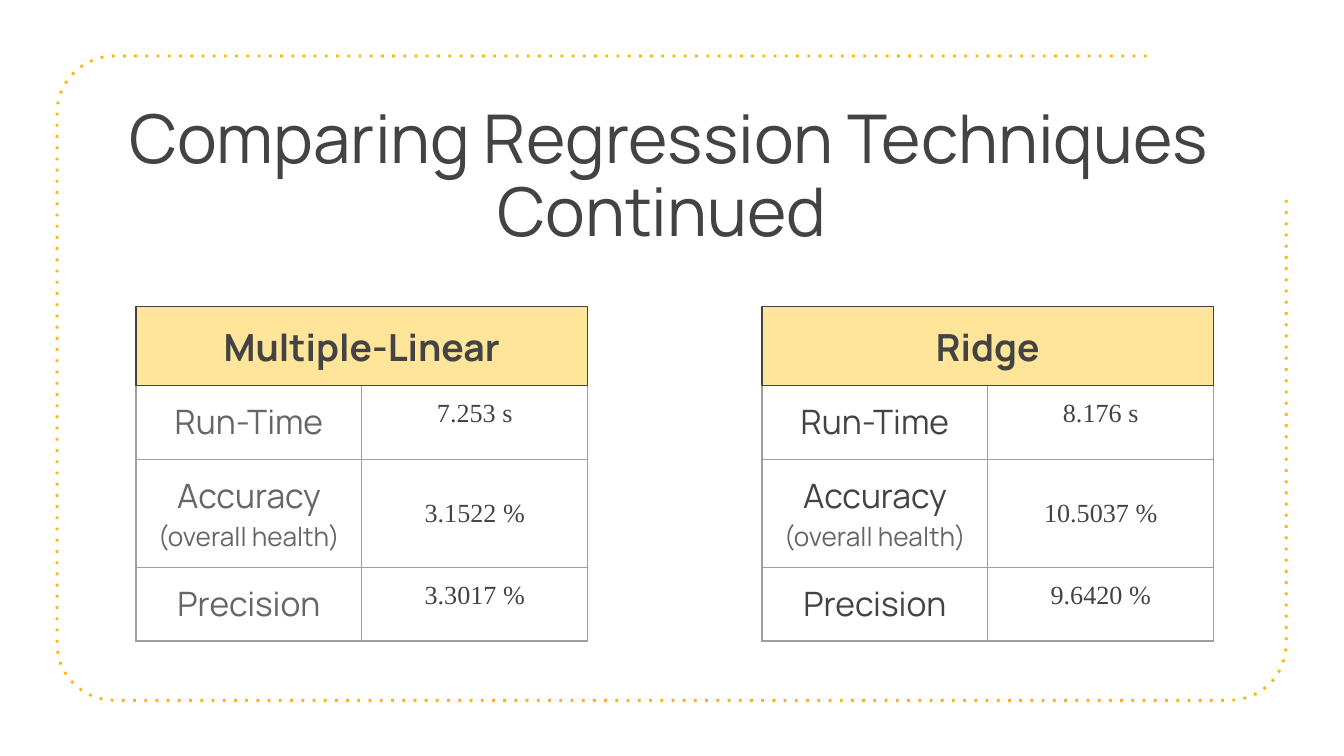
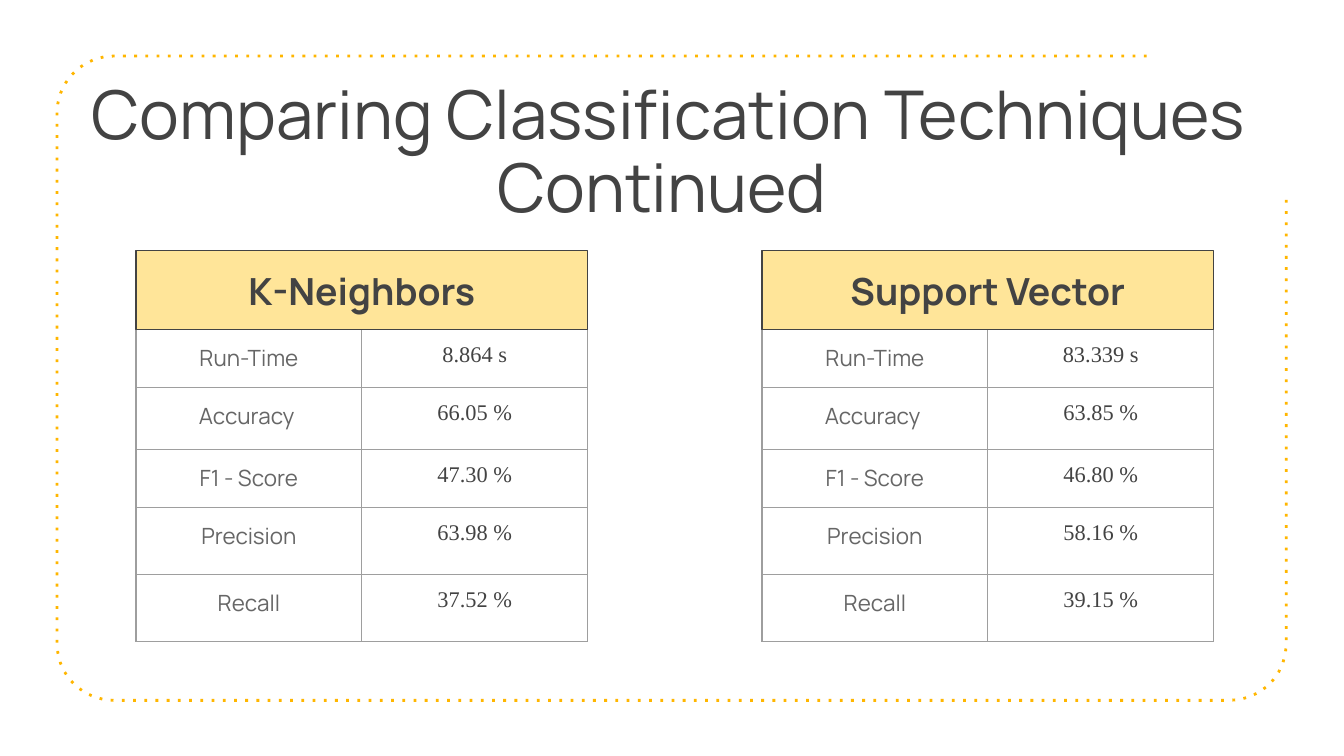
import math
from lxml import etree
from pptx import Presentation
from pptx.dml.color import RGBColor
from pptx.enum import dml, shapes, text
from pptx.oxml import ns
from pptx.util import Cm, Pt

YELLOW = RGBColor(0xFF, 0xB6, 0x00)
CREAM = RGBColor(0xFF, 0xE5, 0x99)
DARK = RGBColor(0x43, 0x43, 0x43)
GREY = RGBColor(0x66, 0x66, 0x66)
BORDER = "9E9E9E"
SANS, SERIF = "Manrope", "Times New Roman"

LEFT, TOP, RIGHT, BOTTOM, RADIUS = 1.08, 1.06, 24.31, 13.24, 1.07
COLUMN_WIDTH, HEADER_HEIGHT, INSET = 4.27, 1.49, 0.25
TECHNIQUE_LEFTS = (2.57, 14.4)
DETAIL = "(overall health)"


def style(paragraph, size, color, font=SANS, bold=False):
    paragraph.alignment = text.PP_ALIGN.CENTER
    paragraph.font.size = Pt(size)
    paragraph.font.name = font
    paragraph.font.bold = bold
    paragraph.font.color.rgb = color


def set_insets(frame):
    frame.word_wrap = True
    frame.margin_left = frame.margin_right = Cm(INSET)
    frame.margin_top = frame.margin_bottom = Cm(INSET)


regression_metrics = ["Run-Time", "Accuracy", "Precision"]
classification_metrics = ["Run-Time", "Accuracy ", "F1 - Score", "Precision", "Recall"]

comparisons = [
    {
        "title": "Comparing Regression Techniques Continued ",
        "title_top": 1.75, "header_top": 5.8,
        "metrics": regression_metrics, "row_heights": (1.39, 2.05, 1.39),
        "label_size": 18, "value_size": 14,
        "techniques": [
            ("Multiple-Linear", GREY, ["7.253 s", "3.1522 %", "3.3017 %"]),
            ("Ridge", DARK, ["8.176 s", "10.5037 %", "9.6420 %"]),
        ],
    },
    {
        "title": "Comparing Classification Techniques Continued ",
        "title_top": 1.3, "header_top": 4.74,
        "metrics": classification_metrics, "row_heights": (1.09, 1.18, 1.09, 1.27, 1.27),
        "label_size": 12, "value_size": 12,
        "techniques": [
            ("K-Neighbors", GREY, ["8.864 s", "66.05 %", "47.30 %", "63.98 %", "37.52 %"]),
            ("Support Vector", GREY, ["83.339 s", "63.85 %", "46.80 %", "58.16 %", "39.15 %"]),
        ],
    },
]

outline = [(21.67, TOP)]
corners = [
    (LEFT + RADIUS, TOP + RADIUS, 270),
    (LEFT + RADIUS, BOTTOM - RADIUS, 180),
    (RIGHT - RADIUS, BOTTOM - RADIUS, 90),
]
for center_x, center_y, start in corners:
    for step in range(10):
        angle = math.radians(start - 10 * step)
        outline.append((center_x + RADIUS * math.cos(angle), center_y + RADIUS * math.sin(angle)))
outline.append((RIGHT, 3.71))
outline = [(Cm(x), Cm(y)) for x, y in outline]

prs = Presentation()
prs.slide_width, prs.slide_height = Cm(25.4), Cm(14.29)

for comparison in comparisons:
    slide = prs.slides.add_slide(prs.slide_layouts[6])

    builder = slide.shapes.build_freeform(*outline[0], scale=1.0)
    builder.add_line_segments(outline[1:], close=False)
    border = builder.convert_to_shape()
    border.shadow.inherit = False
    border.fill.background()
    border.line.color.rgb = YELLOW
    border.line.width = Pt(1.5)
    border.line.dash_style = dml.MSO_LINE.ROUND_DOT
    border.element.find(".//" + ns.qn("a:prstDash")).set("val", "dot")

    title = slide.shapes.add_textbox(Cm(1.07), Cm(comparison["title_top"]), Cm(23.14), Cm(2.39))
    set_insets(title.text_frame)
    heading = title.text_frame.paragraphs[0]
    heading.text = comparison["title"]
    heading.line_spacing = 0.9
    style(heading, 36, DARK)

    metrics, row_heights = comparison["metrics"], comparison["row_heights"]
    header_top = comparison["header_top"]
    for left, (technique, label_color, values) in zip(TECHNIQUE_LEFTS, comparison["techniques"]):
        scores = slide.shapes.add_table(
            len(metrics), 2, Cm(left), Cm(header_top + HEADER_HEIGHT),
            Cm(2 * COLUMN_WIDTH), Cm(sum(row_heights))).table
        scores.first_row = scores.horz_banding = False
        for column in scores.columns:
            column.width = Cm(COLUMN_WIDTH)
        for row, height, metric, value in zip(scores.rows, row_heights, metrics, values):
            row.height = Cm(height)
            label_cell, value_cell = row.cells
            for cell in row.cells:
                cell.margin_left = cell.margin_right = Cm(INSET)
                cell.margin_top = cell.margin_bottom = Cm(INSET)
                properties = cell._tc.get_or_add_tcPr()
                for side in ("lnL", "lnR", "lnT", "lnB"):
                    edge = etree.SubElement(properties, ns.qn("a:" + side), w=str(Pt(0.75)))
                    fill = etree.SubElement(edge, ns.qn("a:solidFill"))
                    etree.SubElement(fill, ns.qn("a:srgbClr"), val=BORDER)
                cell.fill.background()

            label = label_cell.text_frame.paragraphs[0]
            label.text = metric
            style(label, comparison["label_size"], label_color)
            if metrics is regression_metrics and metric == "Accuracy":
                label.add_line_break()
                detail = label.add_run()
                detail.text = DETAIL
                detail.font.size = Pt(14)
                detail.font.color.rgb = GREY
                value_cell.vertical_anchor = text.MSO_ANCHOR.MIDDLE

            score = value_cell.text_frame.paragraphs[0]
            score.text = value
            style(score, comparison["value_size"], DARK, SERIF)

        header = slide.shapes.add_shape(
            shapes.MSO_SHAPE.RECTANGLE, Cm(left), Cm(header_top),
            Cm(2 * COLUMN_WIDTH), Cm(HEADER_HEIGHT))
        header.shadow.inherit = False
        header.fill.solid()
        header.fill.fore_color.rgb = CREAM
        header.line.color.rgb = DARK
        header.line.width = Pt(0.75)
        set_insets(header.text_frame)
        header.text_frame.vertical_anchor = text.MSO_ANCHOR.MIDDLE
        name = header.text_frame.paragraphs[0]
        name.text = technique
        style(name, 20, DARK, bold=True)

prs.save("out.pptx")
